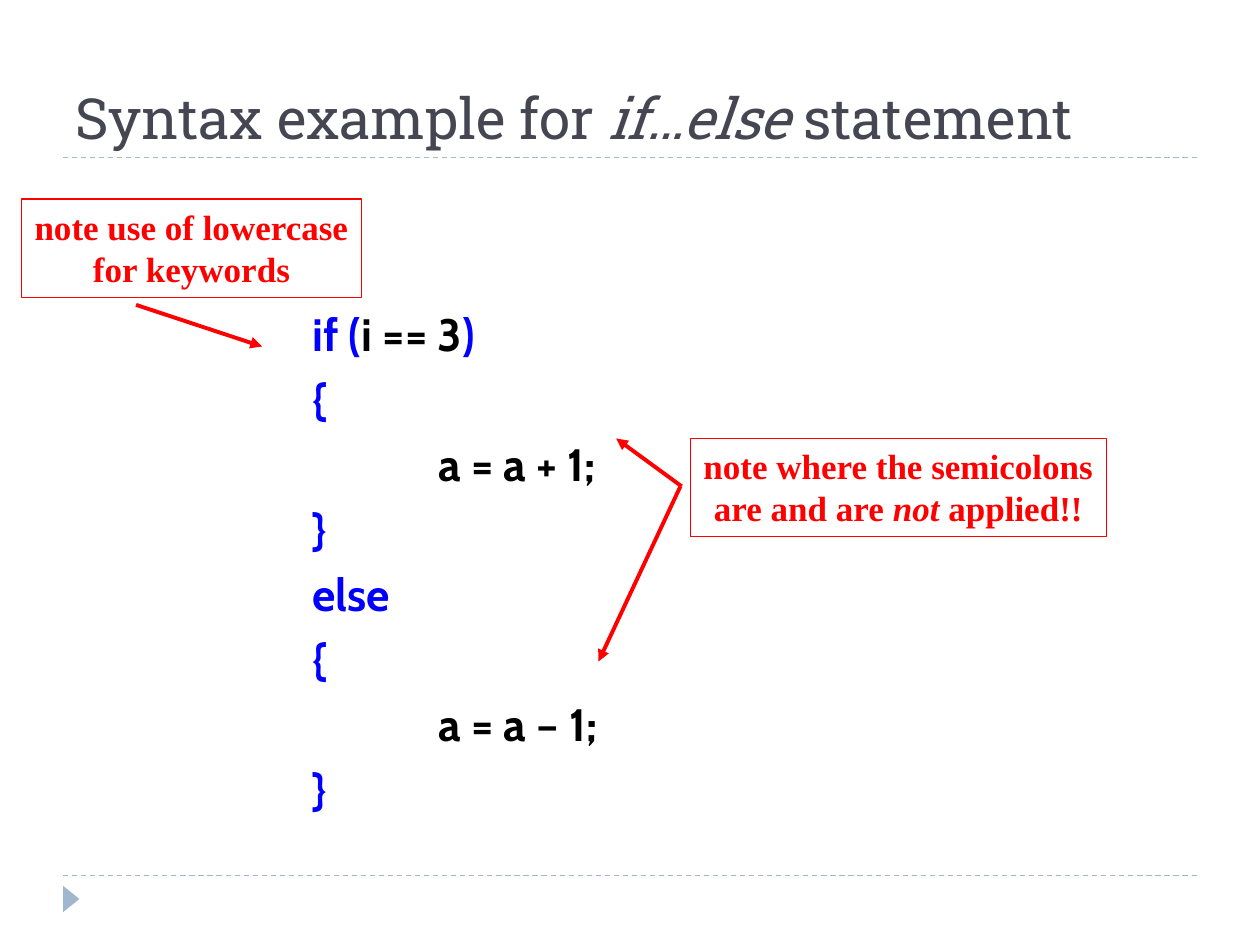
from dataclasses import dataclass

from lxml import etree
from pptx import Presentation
from pptx import util as u
from pptx.dml.color import RGBColor
from pptx.enum import dml, shapes, text
from pptx.oxml.ns import qn

# The slide is a grid of 100 columns by 75 rows
SLIDE_WIDTH, SLIDE_HEIGHT = u.Inches(10), u.Inches(7.5)
COLUMN, ROW = SLIDE_WIDTH / 100, SLIDE_HEIGHT / 75


@dataclass(frozen=True)
class Theme:
    heading: str = "464653"
    ink: str = "000000"
    keyword: str = "0000FF"
    note: str = "FF0000"
    trim: str = "9FB8CD"
    heading_font: str = "Roboto Slab"
    code_font: str = "Cabin"
    note_font: str = "Times New Roman"
    heading_size: float = 32.4
    code_size: float = 25.9
    note_size: float = 20


THEME = Theme()


def cells(left, top, width, height):
    """Turn grid columns and rows into slide lengths."""
    return (round(left * COLUMN), round(top * ROW),
            round(width * COLUMN), round(height * ROW))


def color(value):
    return RGBColor.from_string(value)


def add_text(paragraph, words, font, size, fill, bold=False, italic=False):
    run = paragraph.add_run()
    run.text = words
    run.font.name = font
    run.font.size = u.Pt(size)
    run.font.color.rgb = color(fill)
    run.font.bold = bold
    run.font.italic = italic


def paragraphs(frame, count):
    """Return the frame's first paragraph and as many new ones as needed."""
    return [frame.paragraphs[0]] + [frame.add_paragraph() for _ in range(count - 1)]


def move(shape, *box):
    shape.left, shape.top, shape.width, shape.height = cells(*box)


def add_line(slide, start, end, line_color, width, dashed=False, arrow=False):
    x1, y1, x2, y2 = cells(*start, *end)
    line = slide.shapes.add_connector(shapes.MSO_CONNECTOR.STRAIGHT, x1, y1, x2, y2)
    line.line.color.rgb = color(line_color)
    line.line.width = u.Pt(width)
    if dashed:
        line.line.dash_style = dml.MSO_LINE.DASH
    properties = line._element.spPr
    if arrow:
        etree.SubElement(properties.find(qn("a:ln")), qn("a:tailEnd"), type="triangle")
    etree.SubElement(properties, qn("a:effectLst"))


def add_trim(slide):
    for row in (69.5, 12.5):
        add_line(slide, (5, row), (95, row), THEME.trim, 0.75, dashed=True)
    marker = slide.shapes.add_shape(
        shapes.MSO_SHAPE.ISOSCELES_TRIANGLE, *cells(4.6, 70.7, 2.1, 1.3))
    marker.rotation = 90
    marker.shadow.inherit = False
    marker.fill.solid()
    marker.fill.fore_color.rgb = color(THEME.trim)
    marker.line.fill.background()


def set_title(slide, parts):
    title = slide.shapes.title
    move(title, 5, 1.7, 90, 10.8)
    frame = title.text_frame
    frame.auto_size = text.MSO_AUTO_SIZE.NONE
    frame.vertical_anchor = text.MSO_ANCHOR.BOTTOM
    paragraph = frame.paragraphs[0]
    paragraph.alignment = text.PP_ALIGN.LEFT
    for words, italic in parts:
        add_text(paragraph, words, THEME.heading_font, THEME.heading_size,
                 THEME.heading, italic=italic)


def set_code(slide, lines):
    """Fill the body with code lines: (indent level, [(words, color), ...])."""
    body = slide.placeholders[1]
    move(body, 10.8, 18.6, 85, 45)
    frame = body.text_frame
    frame.auto_size = text.MSO_AUTO_SIZE.NONE
    frame.margin_top = u.Inches(0.57)
    for paragraph, (level, parts) in zip(paragraphs(frame, len(lines)), lines):
        paragraph.space_before = u.Pt(6)
        properties = paragraph._p.get_or_add_pPr()
        properties.set("marL", str(u.Inches(1.3 + level)))
        properties.set("indent", "0")
        etree.SubElement(properties, qn("a:buNone"))
        for words, fill in parts:
            add_text(paragraph, words, THEME.code_font, THEME.code_size, fill, bold=True)


def add_note(slide, box, lines):
    """Add an outlined note; each line is a list of (words, italic)."""
    note = slide.shapes.add_shape(shapes.MSO_SHAPE.RECTANGLE, *cells(*box))
    note.shadow.inherit = False
    note.fill.background()
    note.line.color.rgb = color(THEME.note)
    note.line.width = u.Pt(0.75)
    frame = note.text_frame
    frame.word_wrap = False
    frame.auto_size = text.MSO_AUTO_SIZE.SHAPE_TO_FIT_TEXT
    frame.vertical_anchor = text.MSO_ANCHOR.TOP
    for paragraph, parts in zip(paragraphs(frame, len(lines)), lines):
        paragraph.alignment = text.PP_ALIGN.CENTER
        for words, italic in parts:
            add_text(paragraph, words, THEME.note_font, THEME.note_size,
                     THEME.note, bold=True, italic=italic)


def main():
    presentation = Presentation()
    presentation.slide_width, presentation.slide_height = SLIDE_WIDTH, SLIDE_HEIGHT
    slide = presentation.slides.add_slide(presentation.slide_layouts[1])

    add_trim(slide)
    set_title(slide, [("Syntax example for ", False), ("if…else", True),
                      (" statement", False)])

    # Code sample
    opening, closing = (0, [("{", THEME.keyword)]), (0, [("}", THEME.keyword)])
    set_code(slide, [
        (0, [("if (", THEME.keyword), ("i == 3", THEME.ink), (")", THEME.keyword)]),
        opening,
        (1, [("a = a + 1;", THEME.ink)]),
        closing,
        (0, [("else", THEME.keyword)]),
        opening,
        (1, [("a = a – 1;", THEME.ink)]),
        closing,
    ])

    # Notes and their arrows
    add_note(slide, (54.8, 34.8, 33, 7.8), [
        [("note where the semicolons", False)],
        [("are and are ", False), ("not", True), (" applied!!", False)],
    ])
    add_note(slide, (1.7, 15.8, 27, 7.8), [
        [("note use of lowercase", False)],
        [("for keywords", False)],
    ])
    for start, end in [((10.8, 24.2), (20.8, 27.5)),
                       ((54.1, 38.6), (48.9, 34.8)),
                       ((54, 38.6), (47.5, 52.5))]:
        add_line(slide, start, end, THEME.note, 2.25, arrow=True)

    presentation.save("out.pptx")


if __name__ == "__main__":
    main()
